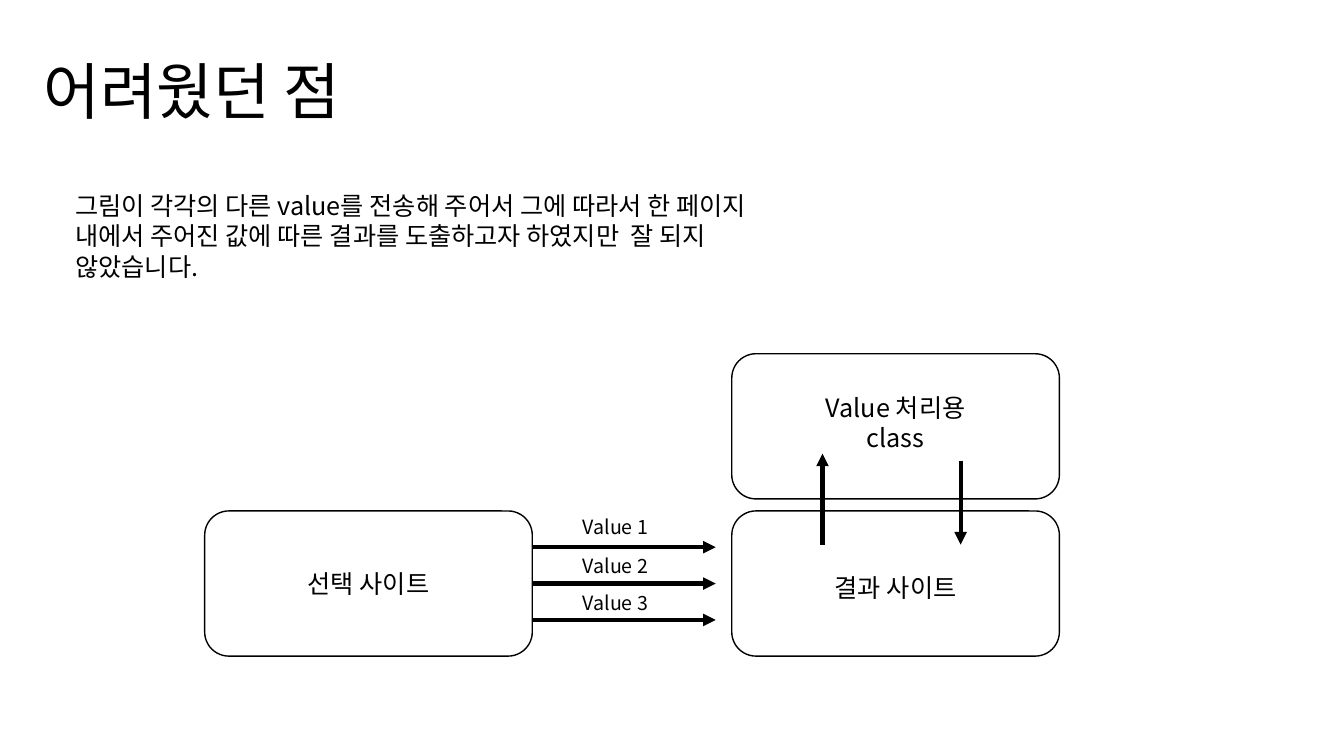
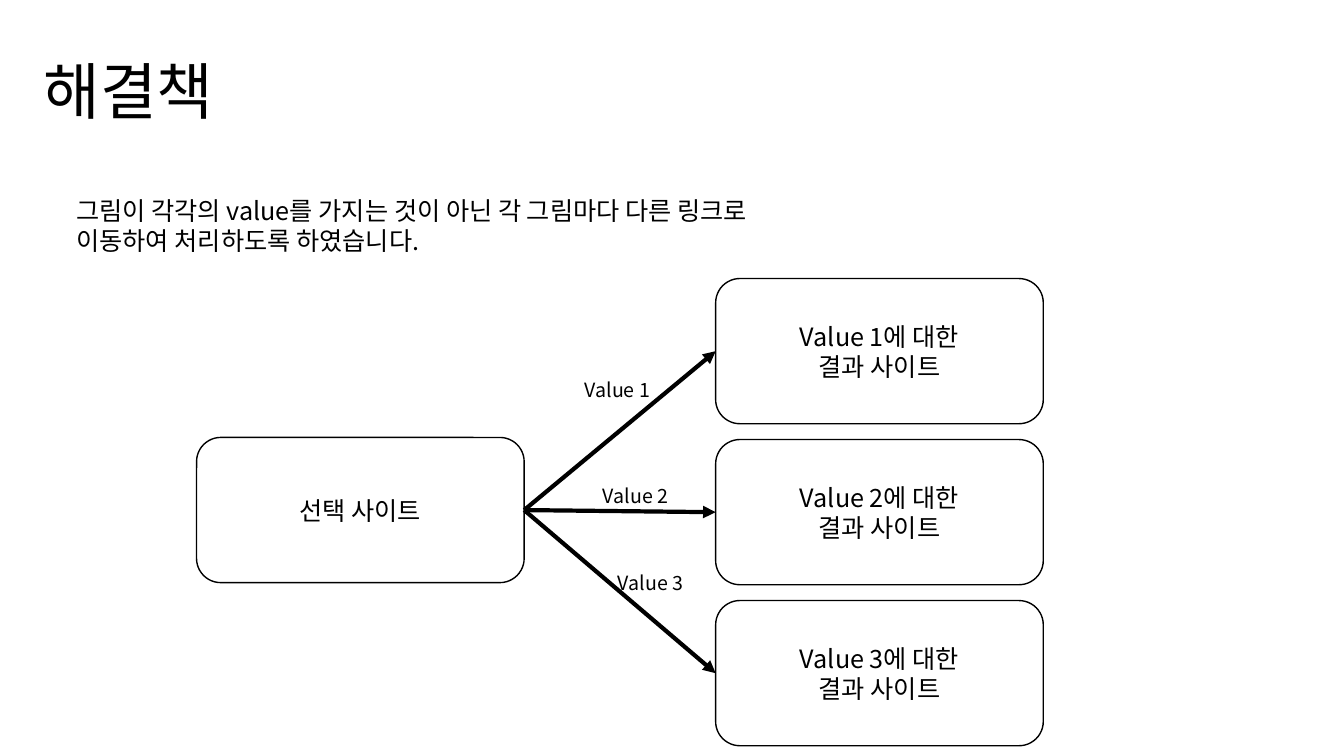
from lxml.etree import SubElement
from pptx import Presentation
from pptx.dml.color import RGBColor
from pptx.enum.shapes import MSO_CONNECTOR, MSO_SHAPE
from pptx.enum.text import MSO_ANCHOR, MSO_AUTO_SIZE, PP_ALIGN
from pptx.oxml.ns import qn
from pptx.util import Pt

COLORS = {"ink": "000000", "paper": "FFFFFF"}
FONT = "Noto Sans CJK KR"
INK = RGBColor.from_string(COLORS["ink"])
BOX_W, BOX_H = 234, 103.7
LABEL_W, LABEL_H = 88.6, 24.2

TITLE = {
    "size": 44,
    "align": PP_ALIGN.LEFT,
    "frame": {"vertical_anchor": MSO_ANCHOR.MIDDLE, "auto_size": MSO_AUTO_SIZE.NONE},
}
BODY = {
    "size": 18,
    "align": PP_ALIGN.LEFT,
    "frame": {"auto_size": MSO_AUTO_SIZE.SHAPE_TO_FIT_TEXT},
}
LABEL = BODY | {"size": 14, "align": PP_ALIGN.CENTER}
BOX = {
    "size": 18,
    "align": PP_ALIGN.CENTER,
    "frame": {
        "vertical_anchor": MSO_ANCHOR.MIDDLE,
        "margin_left": Pt(44),
        "margin_right": Pt(44),
    },
}

SLIDES = [
    {
        "title": "어려웠던 점",
        "body": "그림이 각각의 다른 value를 전송해 주어서 그에 따라서 한 페이지 내에서 "
                "주어진 값에 따른 결과를 도출하고자 하였지만  잘 되지 않았습니다.",
        "body_at": (46.8, 132.5, 544.3, 72.7),
        "boxes": [
            ("선택 사이트", 146.2, 365, 0),
            ("결과 사이트", 522.7, 365, 3),
            ("Value 처리용 class", 522.7, 252.7, -3),
        ],
        "arrows": [(380.2, 416.85 + dy, 511.2, 416.85 + dy, dy == 0, None)
                   for dy in (-26, 0, 26)]
                  + [(587.5, 389, 587.5, 324, False, None),
                     (686.2, 329, 686.2, 389, False, None)],
        "labels": [(395.3, 364.3), (395.3, 392.4), (395.3, 418.3)],
    },
    {
        "title": "해결책",
        "body": "그림이 각각의 value를 가지는 것이 아닌 각 그림마다 다른 링크로 "
                "이동하여 처리하도록 하였습니다.",
        "body_at": (47.5, 136.1, 506.2, 50.9),
        "boxes": [("선택 사이트", 140.4, 312.5, 0)]
                 + [(f"Value {i + 1}에 대한 결과 사이트", 511.2, 199 + 115 * i, 0)
                    for i in range(3)],
        "arrows": [(374.4, 364.35, 511.2, 250.85 + 115 * i, True, i + 1)
                   for i in range(3)],
        "labels": [(396.7, 266.4), (409.7, 342), (420.5, 404.6)],
    },
]


def write(sp, text, style):
    tf = sp.text_frame
    tf.word_wrap = True
    for name, value in style["frame"].items():
        setattr(tf, name, value)
    p = tf.paragraphs[0]
    p.alignment = style["align"]
    r = p.add_run()
    r.text = text
    r.font.size = Pt(style["size"])
    r.font.color.rgb = INK
    r.font.name = FONT
    SubElement(r.font._element, qn("a:ea")).set("typeface", FONT)
    return p


prs = Presentation()
prs.slide_width, prs.slide_height = Pt(960), Pt(540)

for data in SLIDES:
    s = prs.slides.add_slide(prs.slide_layouts[5])
    s.background.fill.solid()
    s.background.fill.fore_color.rgb = RGBColor.from_string(COLORS["paper"])

    title = s.shapes.title
    title.left, title.top, title.width, title.height = Pt(23.8), Pt(15.1), Pt(828), Pt(104.4)
    write(title, data["title"], TITLE).line_spacing = 0.9

    body = s.shapes.add_textbox(*[Pt(v) for v in data["body_at"]])
    write(body, data["body"], BODY)

    boxes = []
    for text, x, y, shift in data["boxes"]:
        sp = s.shapes.add_shape(MSO_SHAPE.ROUNDED_RECTANGLE, Pt(x), Pt(y), Pt(BOX_W), Pt(BOX_H))
        sp.shadow.inherit = False
        sp.fill.background()
        sp.line.color.rgb = INK
        sp.line.width = Pt(1)
        write(sp, text, BOX)
        sp.text_frame.margin_top = Pt(4 + shift)
        sp.text_frame.margin_bottom = Pt(4 - shift)
        boxes.append(sp)

    for x1, y1, x2, y2, from_first, target in data["arrows"]:
        arrow = s.shapes.add_connector(MSO_CONNECTOR.STRAIGHT, Pt(x1), Pt(y1), Pt(x2), Pt(y2))
        if from_first:
            arrow.begin_connect(boxes[0], 3)
        if target is not None:
            arrow.end_connect(boxes[target], 1)
        arrow.line.color.rgb = INK
        arrow.line.width = Pt(3)
        SubElement(arrow.line._get_or_add_ln(), qn("a:tailEnd")).set("type", "triangle")
        SubElement(arrow._element.spPr, qn("a:effectLst"))

    for i, (x, y) in enumerate(data["labels"], 1):
        label = s.shapes.add_textbox(Pt(x), Pt(y), Pt(LABEL_W), Pt(LABEL_H))
        write(label, f"Value {i}", LABEL)

prs.save("out.pptx")
